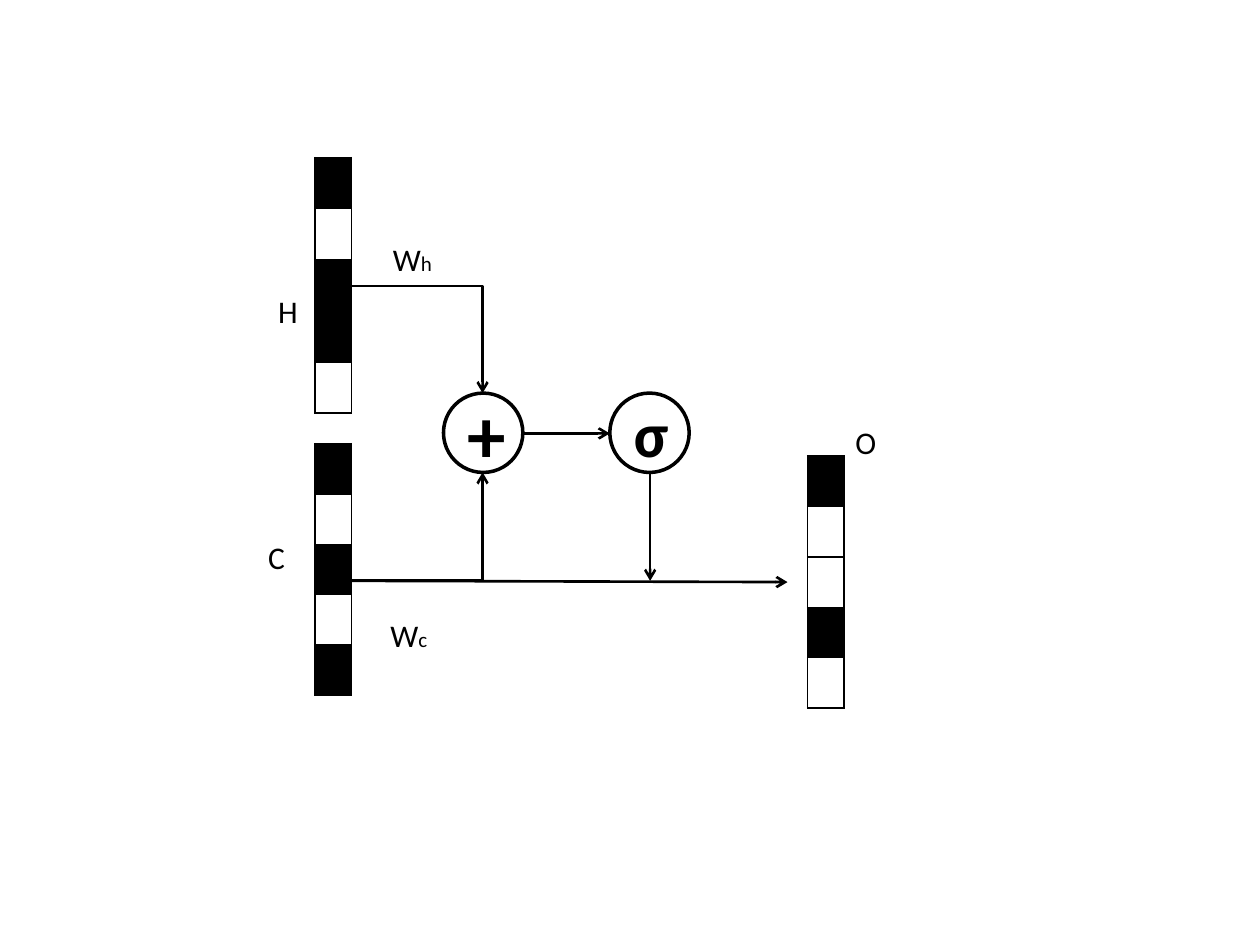
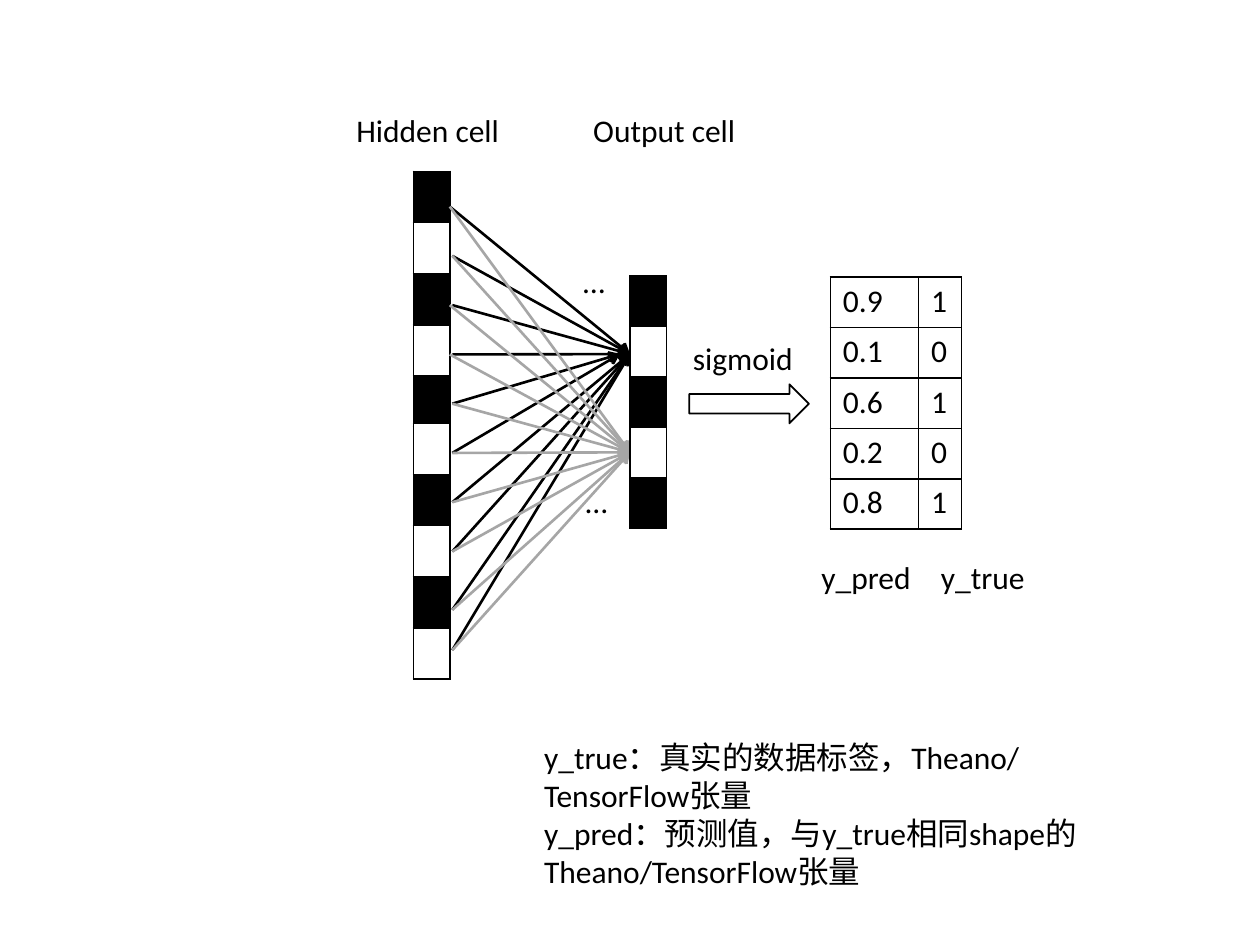
from dataclasses import dataclass
from typing import NamedTuple

from lxml import etree
from pptx import Presentation
from pptx.dml.color import RGBColor
from pptx.enum import shapes, text
from pptx.oxml.ns import qn
from pptx.util import Inches, Pt

# Shared look
BLACK = RGBColor(0x00, 0x00, 0x00)
WHITE = RGBColor(0xFF, 0xFF, 0xFF)
GREY = RGBColor(0xA6, 0xA6, 0xA6)
FONT = "Calibri"
BODY, SUBSCRIPT = 18, 12
CELL_WIDTH = 0.29
BORDERS = ("a:lnL", "a:lnR", "a:lnT", "a:lnB")


class Point(NamedTuple):
    x: float
    y: float


@dataclass
class Vector:
    """A column of cells: '#' is black, '.' is white."""
    left: float
    top: float
    pattern: str
    height: float = 2.0


@dataclass
class Label:
    left: float
    top: float
    width: float
    words: str
    subscript: str = ""


@dataclass
class Operator:
    left: float
    symbol: str
    size: int


def add_run(paragraph, words: str, size: float = BODY, bold: bool = False) -> None:
    run = paragraph.add_run()
    run.text = words
    run.font.name, run.font.size, run.font.bold = FONT, Pt(size), bold
    run.font.color.rgb = BLACK


def add_label(slide, label: Label) -> None:
    box = slide.shapes.add_textbox(Inches(label.left), Inches(label.top),
                                   Inches(label.width), Inches(0.4))
    frame = box.text_frame
    frame.word_wrap = False
    frame.auto_size = text.MSO_AUTO_SIZE.SHAPE_TO_FIT_TEXT
    add_run(frame.paragraphs[0], label.words)
    if label.subscript:
        add_run(frame.paragraphs[0], label.subscript, SUBSCRIPT)


def add_border(cell) -> None:
    properties = cell._tc.get_or_add_tcPr()
    for position, side in enumerate(BORDERS):
        line = etree.Element(qn(side), w=str(Pt(1)))
        fill = etree.SubElement(line, qn("a:solidFill"))
        etree.SubElement(fill, qn("a:srgbClr"), val=str(BLACK))
        properties.insert(position, line)


def add_grid(slide, left: float, top: float, widths: list[float],
             row_count: int, height: float):
    """Plain bordered white table."""
    table = slide.shapes.add_table(row_count, len(widths), Inches(left), Inches(top),
                                   Inches(sum(widths)), Inches(height)).table
    table.first_row = table.horz_banding = False
    for column, width in zip(table.columns, widths):
        column.width = Inches(width)
    for row in table.rows:
        row.height = Inches(height / row_count)
        for cell in row.cells:
            cell.margin_top = cell.margin_bottom = Inches(0.04)
            cell.fill.solid()
            cell.fill.fore_color.rgb = WHITE
            add_border(cell)
    return table


def add_vector(slide, vector: Vector) -> None:
    table = add_grid(slide, vector.left, vector.top, [CELL_WIDTH],
                     len(vector.pattern), vector.height)
    for row, mark in enumerate(vector.pattern):
        if mark == "#":
            table.cell(row, 0).fill.fore_color.rgb = BLACK


def add_arrow(slide, start: Point, end: Point, color: RGBColor = BLACK,
              bent: bool = False) -> None:
    kind = shapes.MSO_CONNECTOR.ELBOW if bent else shapes.MSO_CONNECTOR.STRAIGHT
    arrow = slide.shapes.add_connector(kind, *map(Inches, (*start, *end)))
    arrow.line.color.rgb = color
    arrow.line.width = Pt(1.5)
    properties = arrow._element.spPr
    if bent:  # a single corner
        properties.find(qn("a:prstGeom")).set("prst", "bentConnector2")
    etree.SubElement(arrow.line._get_or_add_ln(), qn("a:tailEnd"), type="arrow")
    etree.SubElement(properties, qn("a:effectLst"))


def add_outlined(slide, kind, left: float, top: float, width: float,
                 height: float, weight: float):
    shape = slide.shapes.add_shape(kind, *map(Inches, (left, top, width, height)))
    shape.shadow.inherit = False
    shape.fill.solid()
    shape.fill.fore_color.rgb = WHITE
    shape.line.color.rgb = BLACK
    shape.line.width = Pt(weight)
    return shape


def add_operator(slide, operator: Operator) -> None:
    circle = add_outlined(slide, shapes.MSO_SHAPE.OVAL, operator.left, 3.12, 0.63, 0.63, 2)
    circle.text_frame.vertical_anchor = text.MSO_ANCHOR.MIDDLE
    paragraph = circle.text_frame.paragraphs[0]
    paragraph.alignment = text.PP_ALIGN.CENTER
    add_run(paragraph, operator.symbol, operator.size, bold=True)


def build_gate(slide) -> None:
    """H and C are weighted, summed and squashed into O."""
    for vector in (Vector(2.5, 1.25, "#.##.", 2.03),
                   Vector(6.41, 3.62, "#..#."),
                   Vector(2.5, 3.52, "#.#.#")):
        add_vector(slide, vector)
    for operator in (Operator(3.52, "+", 44), Operator(4.84, "σ", 36)):
        add_operator(slide, operator)

    # Flow from the inputs to the output
    hidden, context = Point(2.79, 2.27), Point(2.79, 4.61)
    add_arrow(slide, hidden, Point(3.83, 3.12), bent=True)
    add_arrow(slide, context, Point(3.83, 3.75), bent=True)
    add_arrow(slide, context, Point(6.25, 4.62))
    add_arrow(slide, Point(4.14, 3.44), Point(4.84, 3.44))
    add_arrow(slide, Point(5.16, 3.75), Point(5.16, 4.61))

    for label in (Label(2.11, 2.27, 0.36, "H"), Label(2.03, 4.22, 0.34, "C"),
                  Label(6.69, 3.31, 0.37, "O"),
                  Label(3.02, 1.86, 0.53, "W", "h"),
                  Label(3.0, 4.84, 0.5, "W", "c")):
        add_label(slide, label)


def build_prediction(slide) -> None:
    """Hidden cells feed the output cells, then the sigmoid."""
    add_vector(slide, Vector(3.28, 1.36, "#.#.#", 2.03))
    add_vector(slide, Vector(3.28, 3.36, ".#.#.", 2.03))

    # Every hidden cell points at two of the output cells
    hidden_rows = [1.64 + 0.391 * row for row in range(8)] + [4.84, 5.16]
    for color, target, touching, short in ((BLACK, 2.81, {0}, {4, 5}),
                                           (GREY, 3.59, {0, 2, 3}, set())):
        for row, y in enumerate(hidden_rows):
            start = Point(3.57 if row in touching else 3.59, y)
            add_arrow(slide, start, Point(4.92 if row in short else 5, target), color)
    add_vector(slide, Vector(5, 2.19, "#.#.#"))

    # Predicted and true values
    scores = [("0.9", "1"), ("0.1", "0"), ("0.6", "1"), ("0.2", "0"), ("0.8", "1")]
    table = add_grid(slide, 6.59, 2.2, [0.7, 0.34], len(scores), 2.0)
    for row, pair in enumerate(scores):
        for column, value in enumerate(pair):
            add_run(table.cell(row, column).text_frame.paragraphs[0], value)
    add_outlined(slide, shapes.MSO_SHAPE.RIGHT_ARROW, 5.47, 3.05, 0.95, 0.31, 1)

    for label in (Label(2.73, 0.83, 1.35, "Hidden cell"),
                  Label(4.61, 0.83, 1.34, "Output cell"),
                  Label(4.53, 2.03, 0.38, "…"), Label(4.55, 3.78, 0.38, "…"),
                  Label(5.4, 2.64, 1.02, "sigmoid"),
                  Label(6.42, 4.38, 0.95, "y_pred"),
                  Label(7.37, 4.38, 0.87, "y_true")):
        add_label(slide, label)

    # Definitions
    notes = slide.shapes.add_textbox(*map(Inches, (4.22, 5.81, 4.77, 1.31))).text_frame
    notes.word_wrap = True
    add_run(notes.paragraphs[0], "y_true：真实的数据标签，Theano/TensorFlow张量")
    add_run(notes.add_paragraph(), "y_pred：预测值，与y_true相同shape的Theano/TensorFlow张量")


def main() -> None:
    deck = Presentation()
    deck.slide_width, deck.slide_height = Inches(10), Inches(7.5)
    blank = deck.slide_layouts[6]
    for build in (build_gate, build_prediction):
        build(deck.slides.add_slide(blank))
    deck.save("out.pptx")


main()
